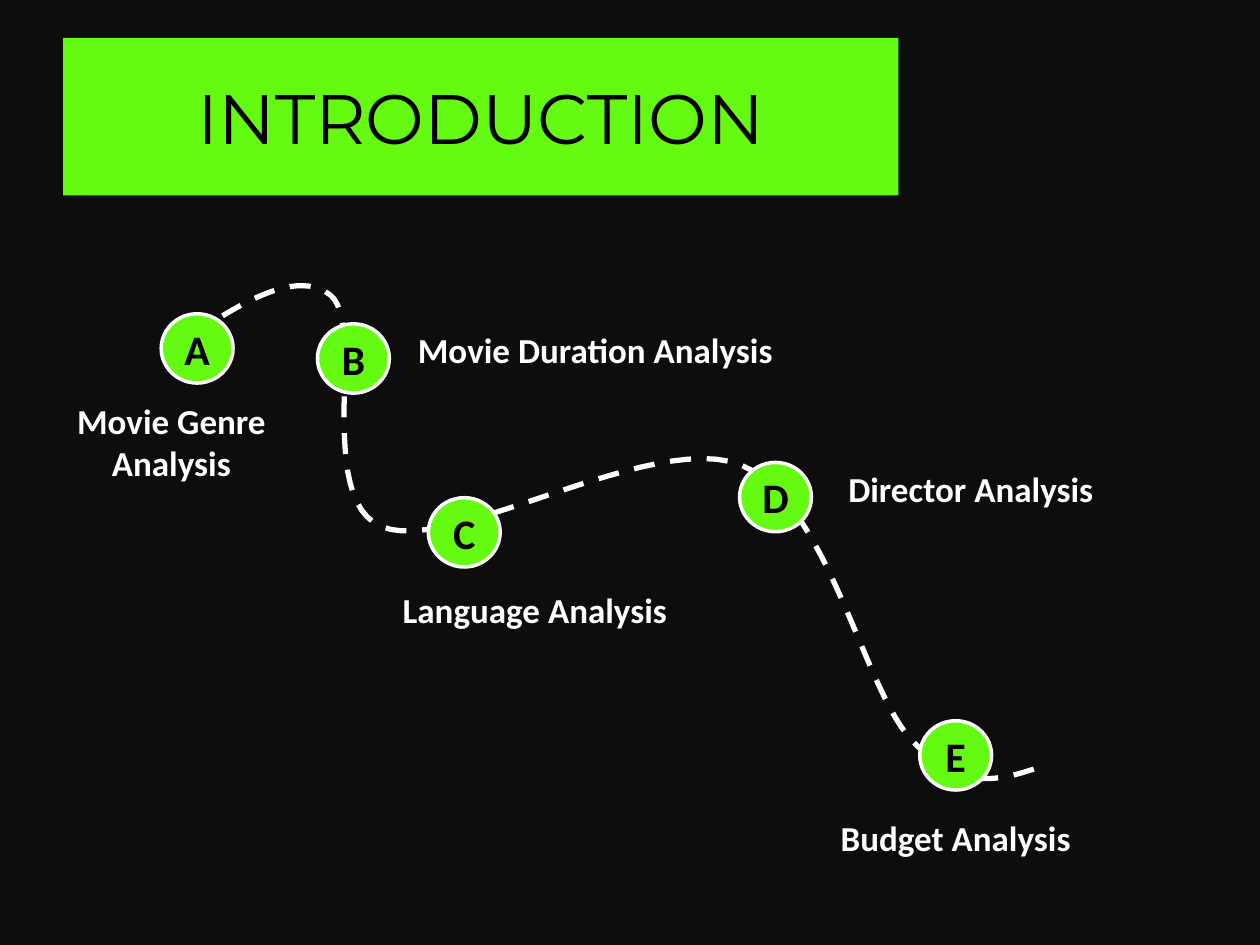
import pptx
import pptx.dml.color
import pptx.enum.dml
import pptx.enum.shapes
import pptx.enum.text
import pptx.util

Inches = pptx.util.Inches
Points = pptx.util.Pt

BACKGROUND, GREEN, WHITE, BLACK = "0D0D0D", "65FA12", "FFFFFF", "000000"
TITLE = ("INTRODUCTION", (0.5, 0.3, 6.63, 1.25))
MARKER_SIZE = (0.57, 0.55)
STOPS = [
    ("A", (1.28, 2.49), "Movie Genre Analysis", (0.2, 3.12, 2.32, 0.77)),
    ("B", (2.52, 2.57), "Movie Duration Analysis", (3.03, 2.56, 3.39, 0.44)),
    ("C", (3.4, 3.95), "Language Analysis", (2.8, 4.62, 2.89, 0.44)),
    ("D", (5.87, 3.67), "Director Analysis", (6.26, 3.66, 2.89, 0.44)),
    ("E", (7.3, 5.72), "Budget Analysis", (6.14, 6.43, 2.89, 0.44)),
]
TRAIL_START = (1.28, 2.83)
TRAIL_CURVES = [
    ((1.8, 2.47), (2.32, 2.11), (2.62, 2.34)),
    ((2.91, 2.56), (2.49, 3.96), (3.03, 4.18)),
    ((3.57, 4.41), (5.17, 3.41), (5.88, 3.69)),
    ((6.58, 3.98), (6.85, 5.49), (7.25, 5.89)),
    ((7.64, 6.29), (7.94, 6.19), (8.25, 6.09)),
]
CURVE_STEPS = 24


def color(value):
    return pptx.dml.color.RGBColor.from_string(value)


def paint(target, value):
    target.solid()
    target.fore_color.rgb = color(value)


def outline(shape, width):
    shape.shadow.inherit = False
    paint(shape.line.fill, WHITE)
    shape.line.width = Points(width)


def write(shape, text, *, size, font="Calibri", fill=BLACK, bold=True, anchor="MIDDLE"):
    frame = shape.text_frame
    frame.word_wrap = True
    frame.auto_size = pptx.enum.text.MSO_AUTO_SIZE.NONE
    frame.vertical_anchor = pptx.enum.text.MSO_ANCHOR[anchor]
    paragraph = frame.paragraphs[0]
    paragraph.alignment = pptx.enum.text.PP_ALIGN.CENTER
    run = paragraph.add_run()
    run.text = text
    run.font.name = font
    run.font.size = Points(size)
    run.font.bold = bold
    run.font.color.rgb = color(fill)


def curve_points(start, curves):
    for first, second, end in curves:
        for step in range(1, CURVE_STEPS + 1):
            t = step / CURVE_STEPS
            yield tuple(
                Inches((1 - t) ** 3 * a + 3 * (1 - t) ** 2 * t * b + 3 * (1 - t) * t**2 * c + t**3 * d)
                for a, b, c, d in zip(start, first, second, end)
            )
        start = end


def add_title(slide):
    text, box = TITLE
    title = slide.shapes.title
    title.left, title.top, title.width, title.height = map(Inches, box)
    paint(title.fill, GREEN)
    write(title, text, size=40, font="Montserrat", bold=False)


def add_trail(slide):
    builder = slide.shapes.build_freeform(*map(Inches, TRAIL_START))
    builder.add_line_segments(list(curve_points(TRAIL_START, TRAIL_CURVES)), close=False)
    trail = builder.convert_to_shape()
    trail.fill.background()
    outline(trail, 3)
    trail.line.dash_style = pptx.enum.dml.MSO_LINE.DASH


def add_stop(slide, letter, corner, label, label_box):
    marker = slide.shapes.add_shape(
        pptx.enum.shapes.MSO_SHAPE.OVAL, *map(Inches, corner + MARKER_SIZE)
    )
    paint(marker.fill, GREEN)
    outline(marker, 2)
    write(marker, letter, size=24)
    caption = slide.shapes.add_textbox(*map(Inches, label_box))
    write(caption, label, size=20, fill=WHITE, anchor="TOP")


def main():
    presentation = pptx.Presentation()
    presentation.slide_width, presentation.slide_height = Inches(10), Inches(7.5)
    slide = presentation.slides.add_slide(presentation.slide_layouts[5])
    paint(slide.background.fill, BACKGROUND)
    add_title(slide)
    add_trail(slide)
    for stop in STOPS:
        add_stop(slide, *stop)
    presentation.save("out.pptx")


if __name__ == "__main__":
    main()
